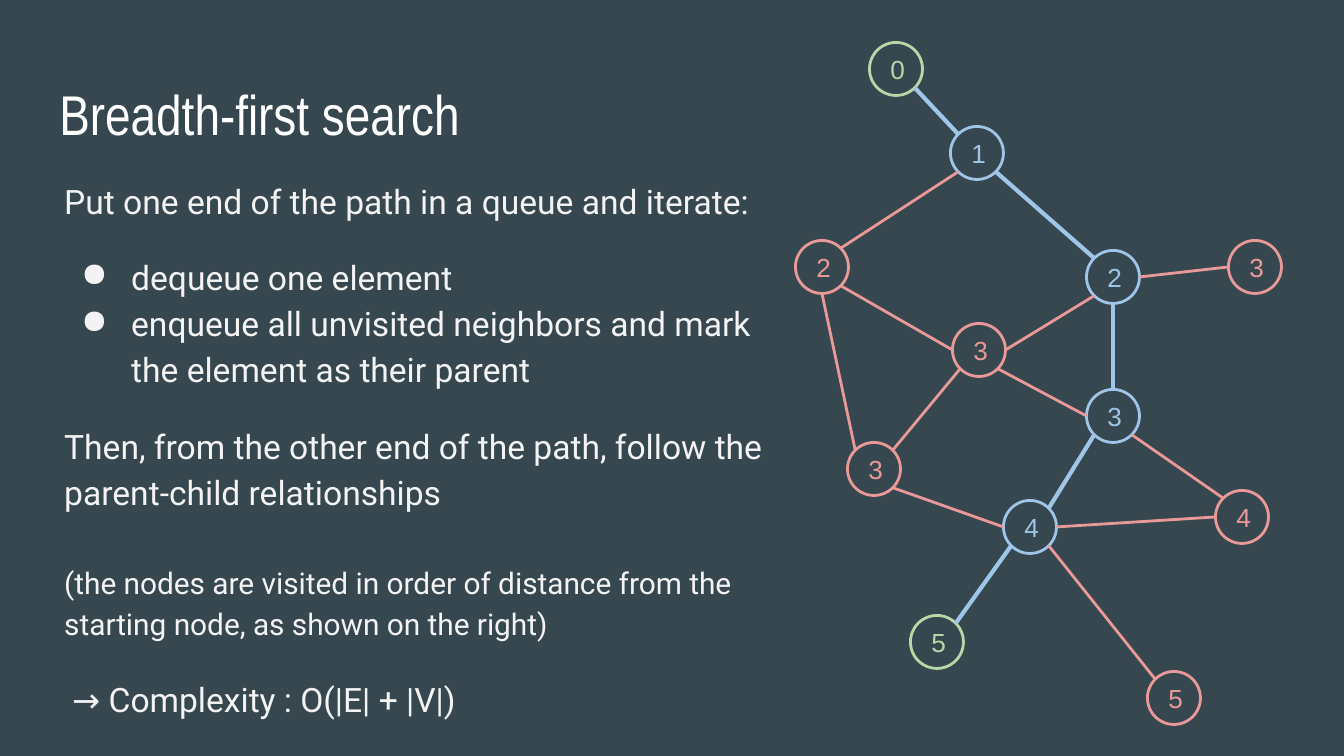
import math

import pptx
import pptx.dml.color
import pptx.enum.shapes
import pptx.enum.text
import pptx.oxml
import pptx.oxml.ns
import pptx.util

PX = 914400 / 134.4
THEME = {
    "background": "37474F", "title": "FFFFFF", "text": "F3F3F3",
    "visited": "EA9999", "path": "9FC5E8", "end": "B6D7A8",
    "title_font": "Arial Narrow", "body_font": "Roboto", "node_font": "Arial",
    "title_size": 30, "body_size": 18, "note_size": 16, "node_size": 14,
    "thin": 1.5, "thick": 2.25,
}
DIAMETER = 53
INSET = 13.44

TITLE = "Breadth-first search"
TITLE_BOX = (46, 66, 550, 85)
BODY_BOX = (51, 161, 726, 559)
COMPLEXITY = "→ Complexity : O(|E| + |V|)"
COMPLEXITY_BOX = (59, 659, 659, 77)
BODY = [
    ("Put one end of the path in a queue and iterate:", {}),
    ("dequeue one element", {"before": 16, "bullet": "●"}),
    ("enqueue all unvisited neighbors and mark the element as their parent", {"bullet": "●"}),
    ("Then, from the other end of the path, follow the parent-child relationships", {"before": 16}),
    ("(the nodes are visited in order of distance from the starting node, as shown on the right)",
     {"before": 25, "size": THEME["note_size"]}),
]

NODES = {
    "start": ("0", 896, 69, "end"),
    "first": ("1", 977, 153, "path"),
    "west": ("2", 822, 267, "visited"),
    "second": ("2", 1113, 277, "path"),
    "east": ("3", 1255, 267, "visited"),
    "middle": ("3", 979, 350, "visited"),
    "southwest": ("3", 874, 469, "visited"),
    "third": ("3", 1113, 416, "path"),
    "fourth": ("4", 1030, 527, "path"),
    "southeast": ("4", 1242, 517, "visited"),
    "goal": ("5", 937, 642, "end"),
    "south": ("5", 1174, 698, "visited"),
}
ANGLES = {"right": 0, "bottom right": 45, "bottom": 90, "bottom left": 135,
          "left": 180, "top left": 225, "top": 270, "top right": 315}
EDGES = [
    ("west", "bottom", "southwest", "top left", "visited"),
    ("west", "bottom right", "middle", "left", "visited"),
    ("middle", "bottom left", "southwest", "top right", "visited"),
    ("middle", "right", "second", "bottom left", "visited"),
    ("second", "top left", "first", "bottom right", "path"),
    ("second", "right", "east", "left", "visited"),
    ("start", "bottom right", "first", "top left", "path"),
    ("third", "top", "second", "bottom", "path"),
    ("goal", "top right", "fourth", "bottom left", "path"),
    ("fourth", "top right", "third", "bottom left", "path"),
    ("third", "bottom right", "southeast", "top left", "visited"),
    ("fourth", "right", "southeast", "left", "visited"),
    ("south", "top left", "fourth", "bottom right", "visited"),
    ("west", "top right", "first", "bottom left", "visited"),
    ("southwest", "bottom right", "fourth", "left", "visited"),
    ("middle", "bottom right", "third", "left", "visited"),
]


def px(n):
    return pptx.util.Emu(round(n * PX))


def color(name):
    return pptx.dml.color.RGBColor.from_string(THEME[name])


def set_frame(tf, anchor=pptx.enum.text.MSO_ANCHOR.TOP):
    tf.word_wrap = True
    tf.auto_size = pptx.enum.text.MSO_AUTO_SIZE.NONE
    tf.vertical_anchor = anchor
    tf.margin_left = tf.margin_right = tf.margin_top = tf.margin_bottom = px(INSET)


def add_bullet(p, char):
    pPr = p._p.get_or_add_pPr()
    pPr.set("marL", str(px(67)))
    pPr.set("indent", str(px(-50)))
    ns = pptx.oxml.ns.nsdecls("a")
    pPr.append(pptx.oxml.parse_xml(
        f'<a:buClr {ns}><a:srgbClr val="{THEME["text"]}"/></a:buClr>'))
    pPr.append(pptx.oxml.parse_xml(f'<a:buChar {ns} char="{char}"/>'))


def write(p, text, size=THEME["body_size"], font=THEME["body_font"], fill="text",
          spacing=1.15, before=0, bullet=None):
    p.alignment = pptx.enum.text.PP_ALIGN.LEFT
    p.line_spacing = spacing
    p.space_before = pptx.util.Pt(before)
    if bullet:
        add_bullet(p, bullet)
    r = p.add_run()
    r.text = text
    r.font.size = pptx.util.Pt(size)
    r.font.name = font
    r.font.color.rgb = color(fill)


def add_text(s, box, paragraphs):
    tf = s.shapes.add_textbox(*map(px, box)).text_frame
    set_frame(tf)
    for i, (text, style) in enumerate(paragraphs):
        write(tf.add_paragraph() if i else tf.paragraphs[0], text, **style)


def add_node(s, label, x, y, kind):
    sp = s.shapes.add_shape(pptx.enum.shapes.MSO_SHAPE.OVAL, px(x - DIAMETER / 2),
                            px(y - DIAMETER / 2), px(DIAMETER), px(DIAMETER))
    sp.shadow.inherit = False
    sp.fill.background()
    sp.line.color.rgb = color(kind)
    sp.line.width = pptx.util.Pt(THEME["thin"])
    set_frame(sp.text_frame, pptx.enum.text.MSO_ANCHOR.MIDDLE)
    write(sp.text_frame.paragraphs[0], label, size=THEME["node_size"],
          font=THEME["node_font"], fill=kind, spacing=1.0)


def rim(node, side):
    x, y = NODES[node][1:3]
    angle = math.radians(ANGLES[side])
    return (px(x + DIAMETER / 2 * math.cos(angle)),
            px(y + DIAMETER / 2 * math.sin(angle)))


def add_edge(s, a, a_side, b, b_side, kind):
    line = s.shapes.add_connector(pptx.enum.shapes.MSO_CONNECTOR.STRAIGHT,
                                  *rim(a, a_side), *rim(b, b_side))
    line.line.color.rgb = color(kind)
    line.line.width = pptx.util.Pt(THEME["thick" if kind == "path" else "thin"])
    line._element.spPr.append(pptx.oxml.parse_xml(
        f'<a:effectLst {pptx.oxml.ns.nsdecls("a")}/>'))


def main():
    prs = pptx.Presentation()
    prs.slide_width, prs.slide_height = px(1344), px(756)
    s = prs.slides.add_slide(prs.slide_layouts[5])
    s.background.fill.solid()
    s.background.fill.fore_color.rgb = color("background")

    title = s.shapes.title
    title.left, title.top, title.width, title.height = map(px, TITLE_BOX)
    set_frame(title.text_frame)
    write(title.text_frame.paragraphs[0], TITLE, size=THEME["title_size"],
          font=THEME["title_font"], fill="title", spacing=1.0)

    add_text(s, BODY_BOX, BODY)
    for node in NODES.values():
        add_node(s, *node)
    for edge in EDGES:
        add_edge(s, *edge)
    add_text(s, COMPLEXITY_BOX, [(COMPLEXITY, {})])
    prs.save("out.pptx")


if __name__ == "__main__":
    main()
